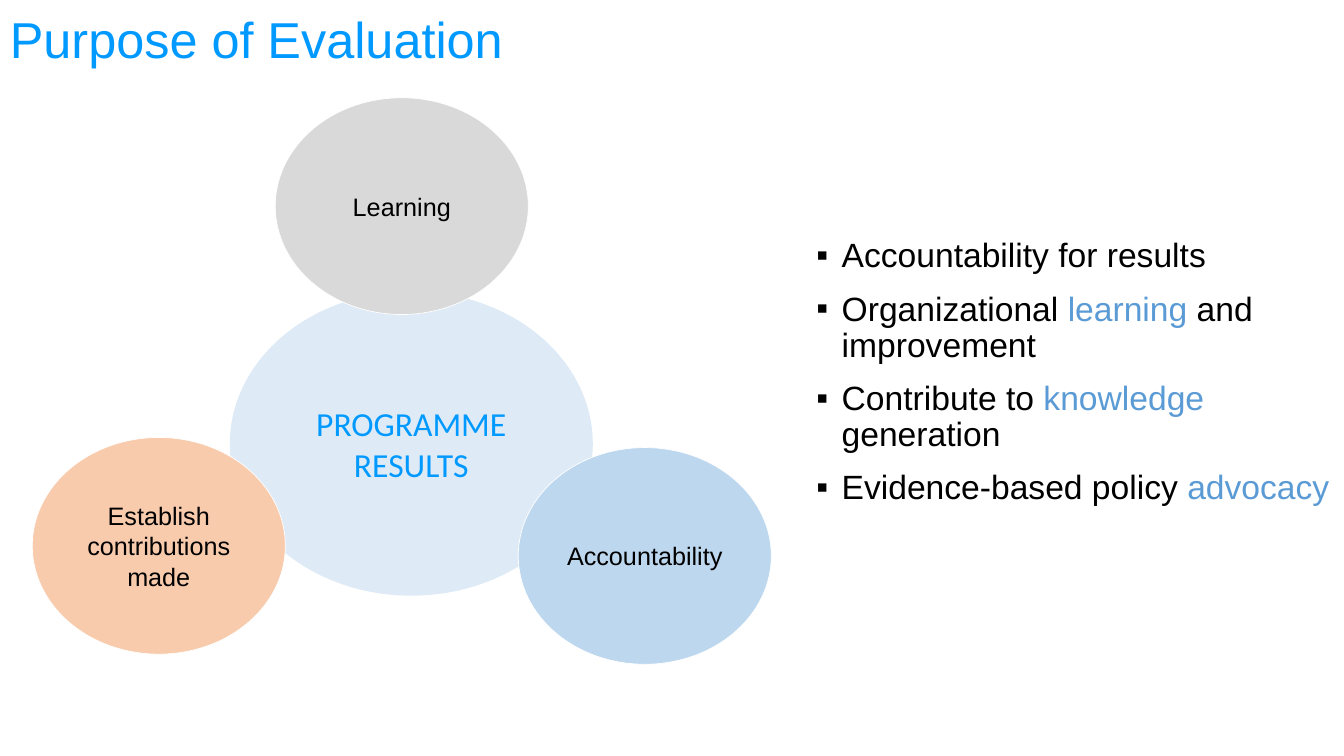
from lxml.etree import SubElement
from pptx import Presentation
from pptx.dml.color import RGBColor
from pptx.enum.shapes import MSO_SHAPE as Shape
from pptx.enum.text import MSO_ANCHOR as Anchor, PP_ALIGN as Align
from pptx.oxml.ns import qn
from pptx.util import Inches, Pt

COLORS = {
    "title": "0099FF",
    "text": "000000",
    "accent": "5B9BD5",
    "center": "DEEBF7",
    "contributions": "F8CBAD",
    "accountability": "BDD7EE",
    "learning": "D9D9D9",
    "outline": "FFFFFF",
}

OUTER_SIZE = (2.51, 2.15)
OUTER_CIRCLES = [
    ("Establish contributions made", "contributions", (0.32, 4.34)),
    ("Accountability", "accountability", (5.14, 4.44)),
    ("Learning", "learning", (2.73, 0.97)),
]

PURPOSES = [
    [("Accountability for results", "text")],
    [("Organizational ", "text"), ("learning", "accent"), (" and improvement", "text")],
    [("Contribute to ", "text"), ("knowledge", "accent"), (" generation", "text")],
    [("Evidence-based policy ", "text"), ("advocacy", "accent")],
]


def color(name):
    return RGBColor.from_string(COLORS[name])


def set_attributes(target, values):
    for name, value in values.items():
        setattr(target, name, value)


def format_runs(paragraph, size, color_name, font="Arial"):
    for run in paragraph.runs:
        set_attributes(run.font, {"size": Pt(size), "name": font})
        run.font.color.rgb = color(color_name)


def add_text_frame(slide, box, values):
    frame = slide.shapes.add_textbox(*map(Inches, box)).text_frame
    set_attributes(frame, {"word_wrap": True, **values})
    return frame


def add_title(slide, box):
    frame = add_text_frame(slide, box, {"vertical_anchor": Anchor.MIDDLE})
    paragraph = frame.paragraphs[0]
    paragraph.text = "Purpose of Evaluation"
    paragraph.line_spacing = 0.9
    format_runs(paragraph, 36, "title")


def add_circle(slide, box, text, fill, size, text_color, font="Arial", outlined=True):
    shape = slide.shapes.add_shape(Shape.OVAL, *map(Inches, box))
    shape.shadow.inherit = False
    shape.fill.solid()
    shape.fill.fore_color.rgb = color(fill)
    if outlined:
        shape.line.color.rgb = color("outline")
        shape.line.width = Pt(0.5)
    else:
        shape.line.fill.background()
    frame = shape.text_frame
    set_attributes(frame, {"word_wrap": True, "vertical_anchor": Anchor.MIDDLE})
    paragraph = frame.paragraphs[0]
    paragraph.text = text
    paragraph.alignment = Align.CENTER
    format_runs(paragraph, size, text_color, font)


def add_diagram(slide, box):
    left, top = box[:2]
    add_circle(slide, (left + 1.96, top + 1.92, 3.6, 3.02), "PROGRAMME\vRESULTS",
               "center", 24, "title", "Calibri", outlined=False)
    for text, fill, (x, y) in OUTER_CIRCLES:
        offset = (x - 0.32, y - 0.97)
        add_circle(slide, (left + offset[0], top + offset[1], *OUTER_SIZE),
                   text, fill, 18, "text")


def add_bullet(paragraph):
    properties = paragraph._p.get_or_add_pPr()
    properties.set("marL", str(Inches(0.25)))
    properties.set("indent", str(Inches(-0.25)))
    SubElement(properties, qn("a:buFont")).set("typeface", "Arial")
    SubElement(properties, qn("a:buChar")).set("char", "▪")


def add_purposes(slide, box):
    frame = add_text_frame(slide, box, {"margin_top": Inches(0.71)})
    for index, parts in enumerate(PURPOSES):
        paragraph = frame.add_paragraph() if index else frame.paragraphs[0]
        add_bullet(paragraph)
        set_attributes(paragraph, {
            "line_spacing": 0.9,
            "space_before": Pt(6 if index else 0),
            "space_after": Pt(6),
        })
        for text, color_name in parts:
            run = paragraph.add_run()
            run.text = text
            set_attributes(run.font, {"size": Pt(24), "name": "Arial"})
            run.font.color.rgb = color(color_name)


def main():
    presentation = Presentation()
    set_attributes(presentation, {"slide_width": Inches(13.33), "slide_height": Inches(7.5)})
    slide = presentation.slides.add_slide(presentation.slide_layouts[6])
    add_title(slide, (0, 0, 13.33, 0.84))
    add_diagram(slide, (0.32, 0.97, 7.33, 5.62))
    add_purposes(slide, (8, 1.66, 5.33, 4.12))
    presentation.save("out.pptx")


if __name__ == "__main__":
    main()
